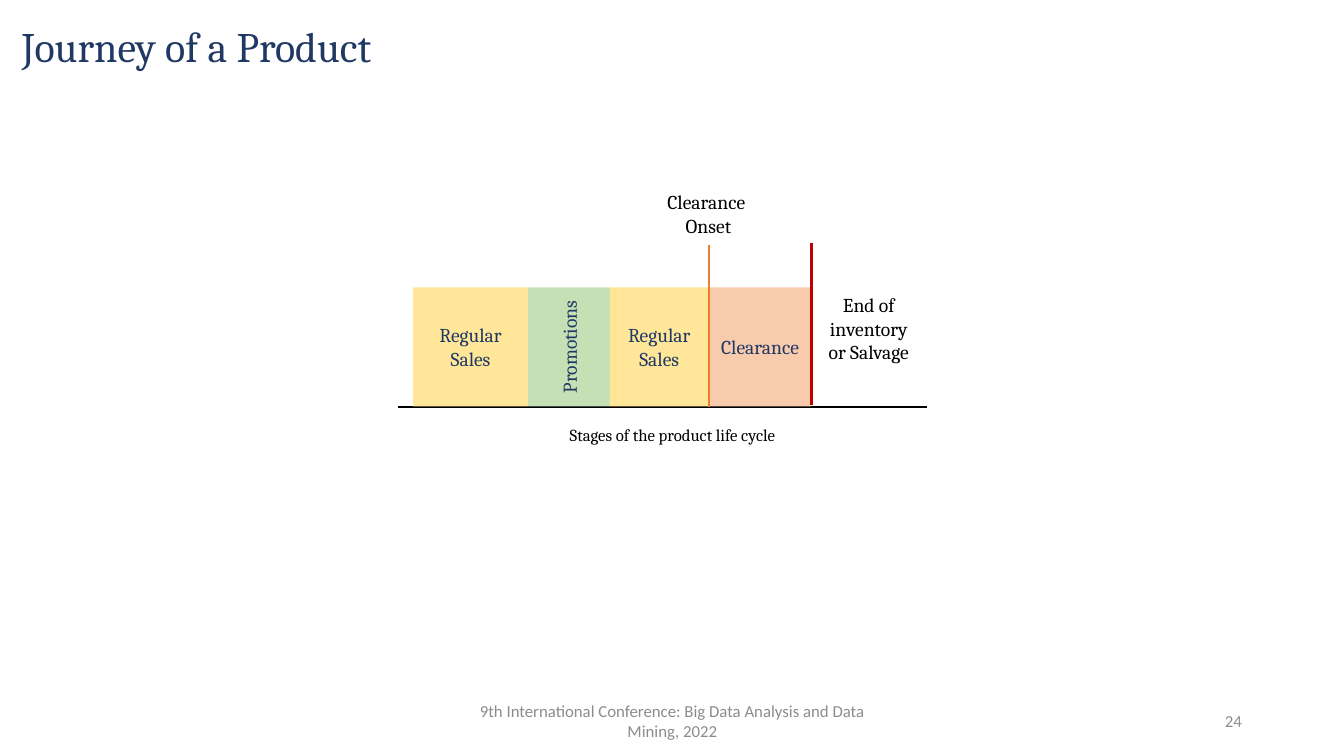
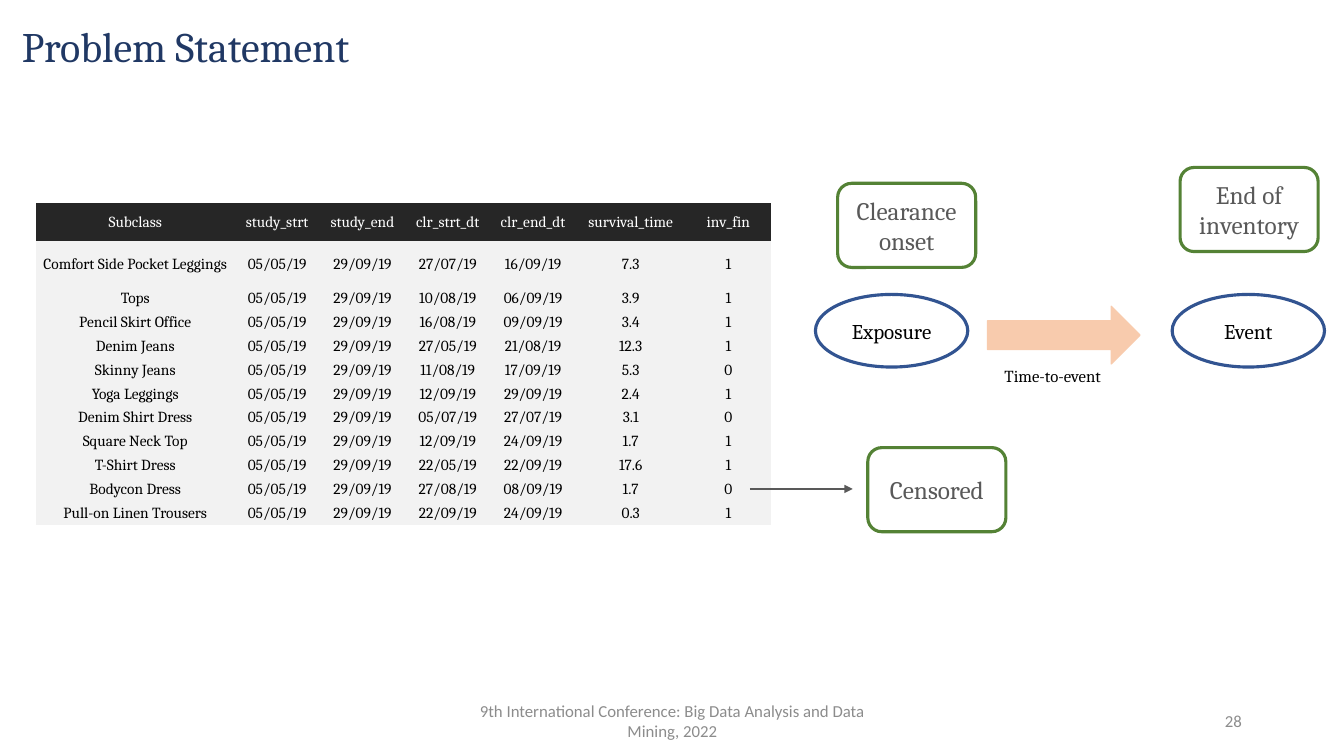
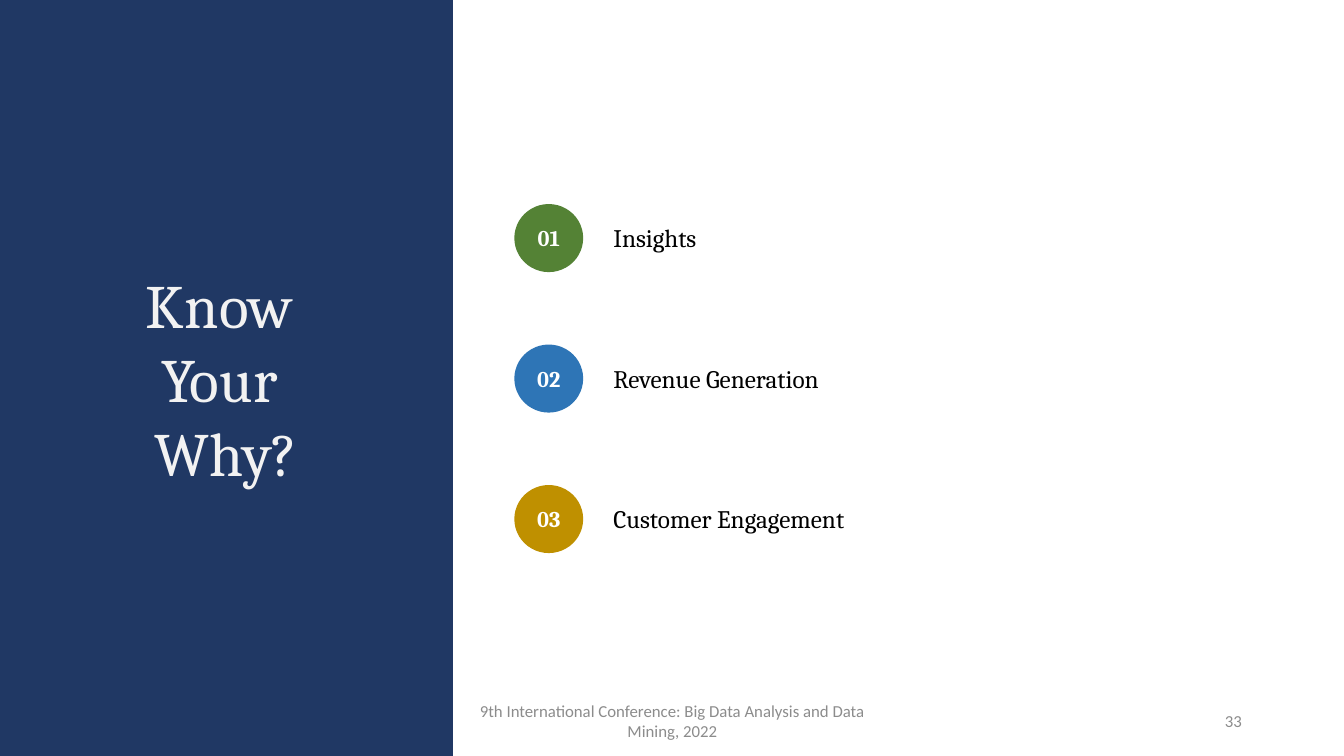
from lxml import etree
from pptx import Presentation
from pptx.dml.color import RGBColor
from pptx.enum.shapes import MSO_CONNECTOR, MSO_SHAPE
from pptx.enum.text import MSO_ANCHOR, PP_ALIGN
from pptx.oxml.ns import qn
from pptx.util import Cm, Pt

LEFT, CENTER, RIGHT = PP_ALIGN.LEFT, PP_ALIGN.CENTER, PP_ALIGN.RIGHT
TOP, MIDDLE = MSO_ANCHOR.TOP, MSO_ANCHOR.MIDDLE
RECT, ROUNDED = MSO_SHAPE.RECTANGLE, MSO_SHAPE.ROUNDED_RECTANGLE
OVAL, RIGHT_ARROW = MSO_SHAPE.OVAL, MSO_SHAPE.RIGHT_ARROW
STRAIGHT = MSO_CONNECTOR.STRAIGHT
NO_TABLE_STYLE = "{2D5ABB26-0587-4C30-8999-92F81FD0307C}"


class Theme:
    font, footer_font = "Cambria", "Calibri"
    navy, black, white, light = "203864", "000000", "FFFFFF", "F2F2F2"
    gray, footer_gray, table_head = "595959", "8C8C8C", "262626"
    yellow, mint, peach = "FFE699", "C5E0B4", "F8CBAD"
    orange, red = "ED7D31", "C00000"
    green, blue, gold, ring = "548235", "2E75B6", "BF9000", "325491"
    title, panel, heading, badge, oval = 30, 44, 18, 16, 15
    label, small, table = 14, 12, 11


# Content: lengths in centimetres
SLIDE_W, SLIDE_H = 33.87, 19.05
FOOTER = "9th International Conference: Big Data Analysis and Data Mining, 2022"

STAGES = [  # text, width, fill, vertical
    ("Regular Sales", 2.9, Theme.yellow, False),
    ("Promotions", 2.06, Theme.mint, True),
    ("Regular Sales", 2.49, Theme.yellow, False),
    ("Clearance", 2.59, Theme.peach, False),
]

HEADERS = ["Subclass", "study_strt", "study_end", "clr_strt_dt",
           "clr_end_dt", "survival_time", "inv_fin"]
STUDY = ("05/05/19", "29/09/19")
PRODUCTS = [  # subclass, clearance start, clearance end, survival, finished
    ("Comfort Side Pocket Leggings", "27/07/19", "16/09/19", "7.3", "1"),
    ("Tops", "10/08/19", "06/09/19", "3.9", "1"),
    ("Pencil Skirt Office", "16/08/19", "09/09/19", "3.4", "1"),
    ("Denim Jeans", "27/05/19", "21/08/19", "12.3", "1"),
    ("Skinny Jeans", "11/08/19", "17/09/19", "5.3", "0"),
    ("Yoga Leggings", "12/09/19", "29/09/19", "2.4", "1"),
    ("Denim Shirt Dress", "05/07/19", "27/07/19", "3.1", "0"),
    ("Square Neck Top", "12/09/19", "24/09/19", "1.7", "1"),
    ("T-Shirt Dress", "22/05/19", "22/09/19", "17.6", "1"),
    ("Bodycon Dress", "27/08/19", "08/09/19", "1.7", "0"),
    ("Pull-on Linen Trousers", "22/09/19", "24/09/19", "0.3", "1"),
]
COL_WIDTHS = [5, 2.15, 2.15, 2.15, 2.15, 2.77, 2.15]
ROW_HEIGHTS = [0.97, 1.14] + [0.6] * (len(PRODUCTS) - 1)

OVALS = [("Exposure", 20.55), ("Event", 29.54)]
CALLOUTS = [("Clearance onset", 21.11, 4.62),
            ("End of inventory", 29.74, 4.22),
            ("Censored", 21.87, 11.28)]

PANEL_TEXT = "Know \nYour \nWhy?"
REASONS = [("Insights", Theme.green), ("Revenue Generation", Theme.blue),
           ("Customer Engagement", Theme.gold)]


# Helpers
def rgb(value):
    return RGBColor.from_string(value)


def write(tf, text, size, color, align=CENTER, bold=False, font=Theme.font,
          spacing=None):
    for i, line in enumerate(text.split("\n")):
        p = tf.paragraphs[0] if i == 0 else tf.add_paragraph()
        p.alignment = align
        if spacing:
            p.line_spacing = spacing
        r = p.add_run()
        r.text = line
        r.font.name, r.font.size, r.font.bold = font, Pt(size), bold
        r.font.color.rgb = rgb(color)


def add_text(s, box, text, size, color, anchor=TOP, **style):
    tf = s.shapes.add_textbox(*map(Cm, box)).text_frame
    tf.word_wrap = True
    tf.vertical_anchor = anchor
    write(tf, text, size, color, **style)


def add_box(s, kind, box, fill=None, line=None, line_width=1):
    sp = s.shapes.add_shape(kind, *map(Cm, box))
    sp.shadow.inherit = False
    if fill:
        sp.fill.solid()
        sp.fill.fore_color.rgb = rgb(fill)
    else:
        sp.fill.background()
    if line:
        sp.line.color.rgb = rgb(line)
        sp.line.width = Pt(line_width)
    else:
        sp.line.fill.background()
    tf = sp.text_frame
    tf.word_wrap = True
    tf.vertical_anchor = MIDDLE
    return tf


def add_line(s, x1, y1, x2, y2, color, arrow=False):
    cx = s.shapes.add_connector(STRAIGHT, *map(Cm, (x1, y1, x2, y2)))
    cx.line.color.rgb = rgb(color)
    cx.line.width = Pt(1.5)
    if arrow:
        ln = cx.line._get_or_add_ln()
        etree.SubElement(ln, qn("a:tailEnd"), type="triangle")
    etree.SubElement(cx._element.spPr, qn("a:effectLst"))


def add_slide(prs, number, title=None):
    s = prs.slides.add_slide(prs.slide_layouts[6])
    footer = dict(anchor=MIDDLE, font=Theme.footer_font)
    add_text(s, (11.23, 17.65, 11.43, 1.02), FOOTER, Theme.small,
             Theme.footer_gray, **footer)
    add_text(s, (23.93, 17.65, 7.62, 1.02), str(number), Theme.small,
             Theme.footer_gray, align=RIGHT, **footer)
    if title:
        add_text(s, (0.3, 0.53, 29.21, 3.68), title, Theme.title, Theme.navy,
                 align=LEFT, spacing=0.9)
    return s


# Slides
def journey_slide(prs):
    s = add_slide(prs, 24, "Journey of a Product")
    axis_y, top, height = 10.26, 7.24, 3
    add_line(s, 10.03, axis_y, 23.37, axis_y, Theme.black)
    add_text(s, (12.34, 10.57, 9.22, 1.27), "Stages of the product life cycle",
             Theme.small, Theme.black)

    x = 10.41
    for text, width, fill, vertical in STAGES:
        tf = add_box(s, RECT, (x, top, width, height), fill)
        write(tf, text, Theme.label, Theme.navy)
        if vertical:
            tf._txBody.bodyPr.set("vert", "vert270")
        x += width

    # Clearance starts and ends at the sides of the last stage
    onset_x = x - STAGES[-1][1]
    add_line(s, onset_x, 6.17, onset_x, axis_y, Theme.orange)
    add_line(s, x, 6.12, x, 10.21, Theme.red)
    add_text(s, (16.56, 4.67, 2.59, 1.47), "Clearance \nOnset",
             Theme.label, Theme.black)
    add_text(s, (20.6, 7.26, 2.59, 2.64), "End of inventory or Salvage",
             Theme.label, Theme.black)


def product_table(s):
    rows = [HEADERS] + [(name, *STUDY, *rest) for name, *rest in PRODUCTS]
    frame = s.shapes.add_table(len(rows), len(HEADERS), Cm(0.91), Cm(5.11),
                               Cm(sum(COL_WIDTHS)), Cm(sum(ROW_HEIGHTS)))
    table = frame.table
    table._tbl.tblPr.find(qn("a:tableStyleId")).text = NO_TABLE_STYLE
    table.first_row = table.horz_banding = False
    for col, width in zip(table.columns, COL_WIDTHS):
        col.width = Cm(width)
    for i, (row, height, values) in enumerate(
            zip(table.rows, ROW_HEIGHTS, rows)):
        row.height = Cm(height)
        fill, color = ((Theme.light, Theme.black) if i
                       else (Theme.table_head, Theme.white))
        for cell, value in zip(row.cells, values):
            cell.fill.solid()
            cell.fill.fore_color.rgb = rgb(fill)
            cell.vertical_anchor = MIDDLE
            cell.margin_left = cell.margin_right = cell.margin_top = Cm(0.02)
            cell.margin_bottom = 0
            write(cell.text_frame, value, Theme.table, color)


def problem_slide(prs):
    s = add_slide(prs, 28, "Problem Statement")
    product_table(s)
    for text, x in OVALS:
        tf = add_box(s, OVAL, (x, 7.42, 3.84, 1.83), line=Theme.ring,
                     line_width=2.25)
        write(tf, text, Theme.oval, Theme.black)
    add_box(s, RIGHT_ARROW, (24.89, 7.72, 3.84, 1.45), Theme.peach, Theme.peach)
    add_text(s, (24.61, 9.09, 3.84, 0.76), "Time-to-event", Theme.small,
             Theme.black)
    for text, x, y in CALLOUTS:
        tf = add_box(s, ROUNDED, (x, y, 3.48, 2.12), line=Theme.green,
                     line_width=2.25)
        write(tf, text, Theme.heading, Theme.gray)
    add_line(s, 18.9, 12.32, 21.49, 12.32, Theme.gray, arrow=True)


def why_slide(prs):
    s = add_slide(prs, 33)
    top, step = 5.16, 3.54
    for i, (text, color) in enumerate(REASONS):
        y = top + i * step
        add_text(s, (15.21, y + 0.33, 17.65, 1.02), text, Theme.heading,
                 Theme.black, align=LEFT)
        tf = add_box(s, OVAL, (12.98, y, 1.7, 1.68), color, color)
        write(tf, f"{i + 1:02}", Theme.badge, Theme.white, bold=True)
    tf = add_box(s, RECT, (0, 0, 11.4, SLIDE_H), Theme.navy, Theme.navy)
    write(tf, PANEL_TEXT, Theme.panel, Theme.light)


def main():
    prs = Presentation()
    prs.slide_width, prs.slide_height = Cm(SLIDE_W), Cm(SLIDE_H)
    journey_slide(prs)
    problem_slide(prs)
    why_slide(prs)
    prs.save("out.pptx")


if __name__ == "__main__":
    main()
